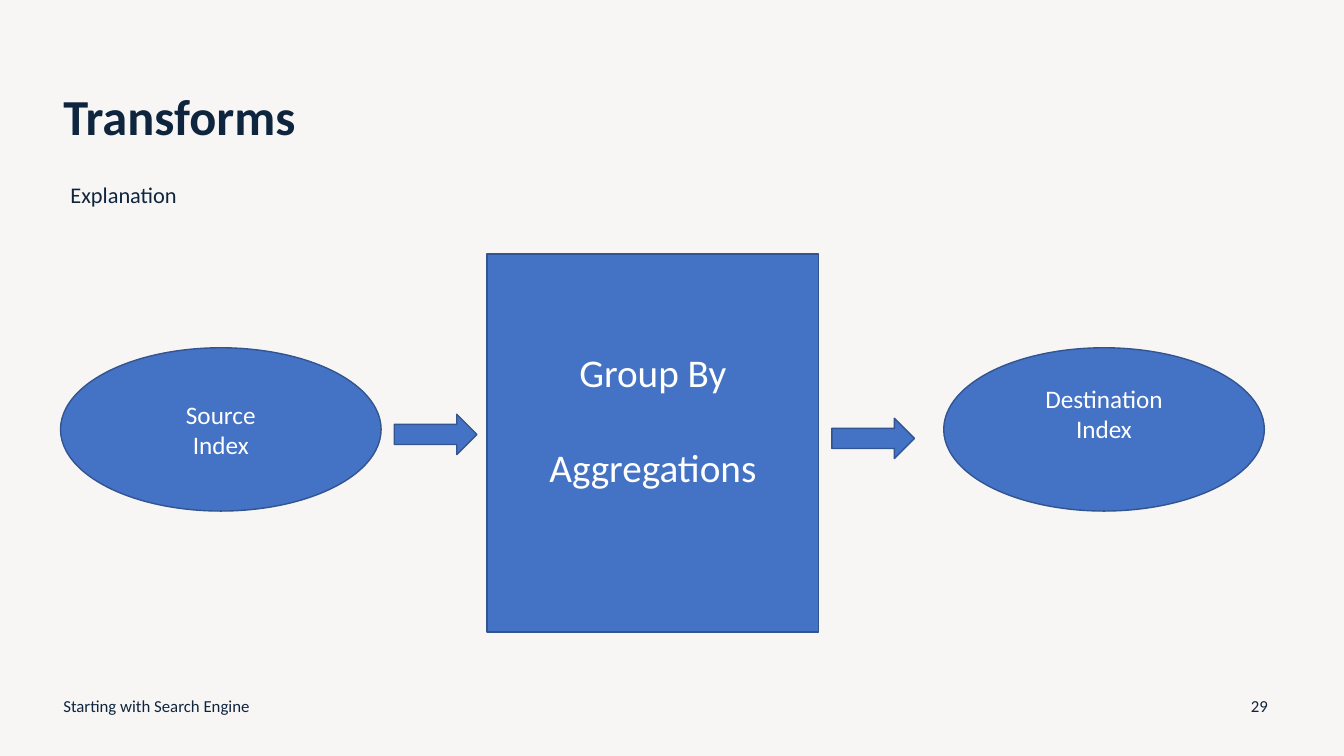
from dataclasses import dataclass

from pptx import Presentation
from pptx import util as u
from pptx.dml import color
from pptx.enum import shapes, text


@dataclass(frozen=True)
class Theme:
    font: str = "Calibri"
    background: str = "F8F6F5"
    ink: str = "0F253E"
    fill: str = "4472C4"
    outline: str = "325491"
    light: str = "FFFFFF"
    title: int = 36
    step: int = 28
    index: int = 18
    subtitle: int = 16
    footer: int = 12


THEME = Theme()
SHAPE = shapes.MSO_SHAPE
LEFT, CENTER = text.PP_ALIGN.LEFT, text.PP_ALIGN.CENTER
TOP, MIDDLE = text.MSO_ANCHOR.TOP, text.MSO_ANCHOR.MIDDLE


def rgb(value):
    return color.RGBColor.from_string(value)


def write(s, lines, size, ink, align=LEFT, anchor=MIDDLE, bold=False, gap=0):
    """Fill a shape with one paragraph per line, gap points apart."""
    tf = s.text_frame
    tf.word_wrap = True
    tf.vertical_anchor = anchor
    for i, line in enumerate(lines):
        p = tf.paragraphs[0] if i == 0 else tf.add_paragraph()
        p.text = line
        p.alignment = align
        if i:
            p.space_before = u.Pt(gap)
        p.font.name = THEME.font
        p.font.size = u.Pt(size)
        p.font.bold = bold
        p.font.color.rgb = rgb(ink)
    return tf


def add_label(slide, box, line, size, **style):
    s = slide.shapes.add_textbox(*map(u.Inches, box))
    return write(s, [line], size, THEME.ink, **style)


def add_block(slide, kind, box):
    s = slide.shapes.add_shape(kind, *map(u.Inches, box))
    s.shadow.inherit = False
    s.fill.solid()
    s.fill.fore_color.rgb = rgb(THEME.fill)
    s.line.color.rgb = rgb(THEME.outline)
    s.line.width = u.Pt(1)
    return s


def add_heading(slide, left, top):
    tf = add_label(slide, (left, top, 5.6, 1.45), "Transforms", THEME.title, bold=True)
    tf.paragraphs[0].line_spacing = 0.9
    add_label(slide, (left + 0.07, top + 1.29, 4.15, 0.64), "Explanation",
              THEME.subtitle, anchor=TOP)


def add_flow(slide, left, top):
    # Source and destination indices
    for dx, name, bottom in ((0, "Source", 0.05), (8.76, "Destination", 0.36)):
        s = add_block(slide, SHAPE.OVAL, (left + dx, top + 0.93, 3.18, 1.62))
        tf = write(s, [name, "Index"], THEME.index, THEME.light, CENTER)
        tf.margin_bottom = u.Inches(bottom)

    # Transform step
    s = add_block(slide, SHAPE.RECTANGLE, (left + 4.23, top, 3.29, 3.75))
    tf = write(s, ["Group By", "Aggregations"], THEME.step, THEME.light, CENTER, gap=34)
    tf.margin_bottom = u.Inches(0.52)

    # Arrows into and out of the step
    for dx, dy in ((3.31, 1.59), (7.65, 1.63)):
        add_block(slide, SHAPE.RIGHT_ARROW, (left + dx, top + dy, 0.82, 0.4))


def add_footer(slide, left, top, width):
    number_width = 0.5
    add_label(slide, (left, top, 4.5, 0.4), "Starting with Search Engine", THEME.footer)
    add_label(slide, (left + width - number_width, top, number_width, 0.4), "29",
              THEME.footer, align=CENTER)


def main():
    prs = Presentation()
    prs.slide_width, prs.slide_height = u.Inches(13.33), u.Inches(7.5)
    slide = prs.slides.add_slide(prs.slide_layouts[6])
    slide.background.fill.solid()
    slide.background.fill.fore_color.rgb = rgb(THEME.background)
    add_heading(slide, 0.53, 0.46)
    add_flow(slide, 0.6, 2.52)
    add_footer(slide, 0.53, 6.8, 12.21)
    prs.save("out.pptx")


if __name__ == "__main__":
    main()
